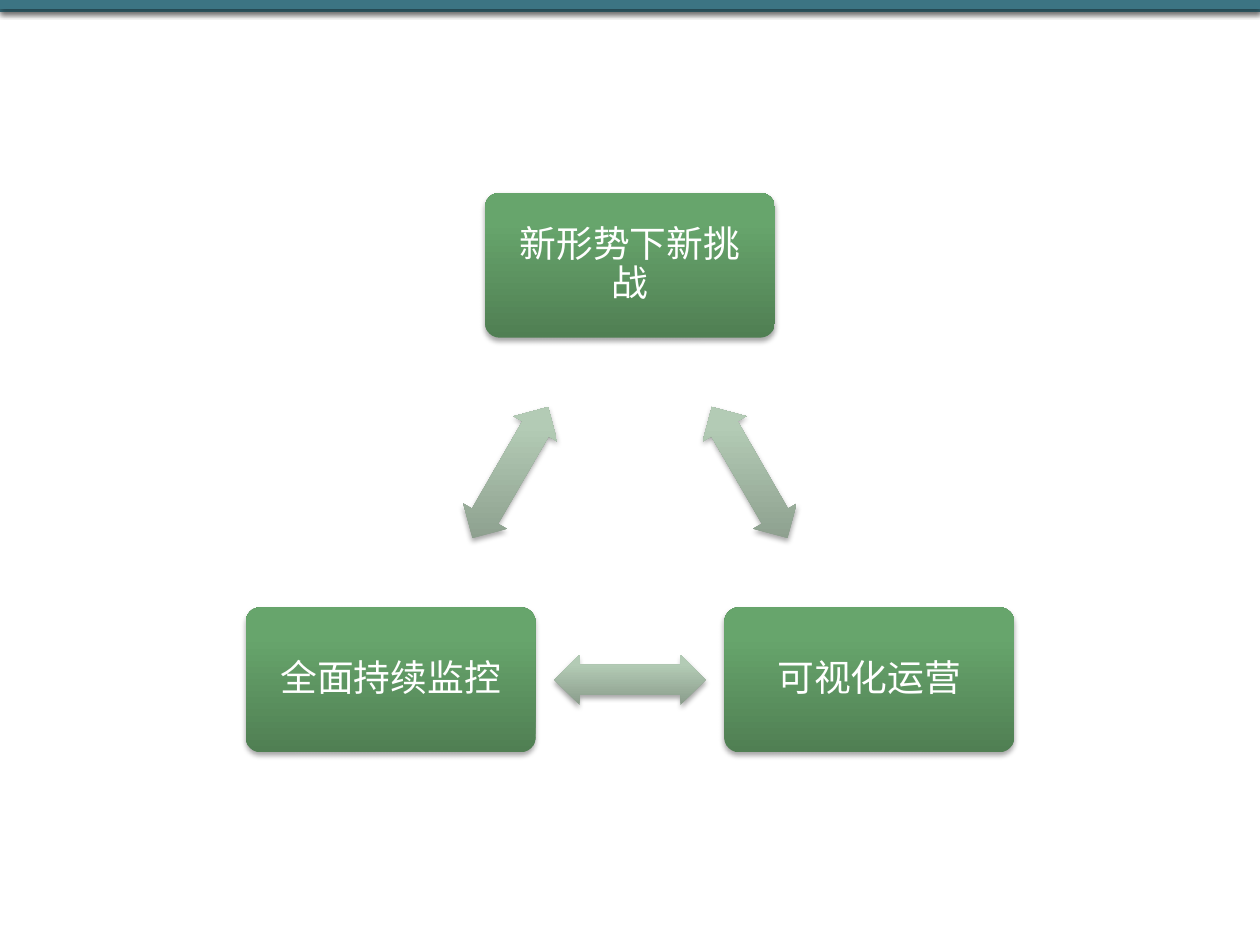
import math
from lxml import etree
from pptx import Presentation
from pptx.dml.color import RGBColor
from pptx.enum.shapes import MSO_CONNECTOR, MSO_SHAPE
from pptx.enum.text import MSO_ANCHOR, PP_ALIGN
from pptx.oxml import parse_xml
from pptx.oxml.ns import nsdecls, qn
from pptx.util import Inches, Pt

STRAIGHT = MSO_CONNECTOR.STRAIGHT
ROUNDED = MSO_SHAPE.ROUNDED_RECTANGLE
DOUBLE_ARROW = MSO_SHAPE.LEFT_RIGHT_ARROW
MIDDLE = MSO_ANCHOR.MIDDLE
CENTER = PP_ALIGN.CENTER

TOPICS = ["新形势下新挑战", "可视化运营", "全面持续监控"]
CARD_STOPS = [(0, "507F53"), (80, "67A56C"), (100, "67A76C")]
ARROW_STOPS = [(0, "8A9C8B"), (80, "B3CBB5"), (100, "B4CCB5")]
CARD_W, CARD_H = 2.3, 1.15
ARROW_W, ARROW_H = 1.2, 0.4


def color(hex_text):
    return RGBColor.from_string(hex_text)


def add_shadow(sp_pr, distance, opacity):
    effects = sp_pr.find(qn("a:effectLst"))
    if effects is None:
        effects = etree.SubElement(sp_pr, qn("a:effectLst"))
    effects.append(parse_xml(
        f'<a:outerShdw {nsdecls("a")} blurRad="{Pt(3.1)}" dist="{Pt(distance)}" '
        f'dir="5400000" rotWithShape="0"><a:srgbClr val="000000">'
        f'<a:alpha val="{opacity * 1000}"/></a:srgbClr></a:outerShdw>'))


def add_gradient_shape(s, kind, cx, cy, width, height, stops):
    sp = s.shapes.add_shape(kind, Inches(cx - width / 2), Inches(cy - height / 2),
                            Inches(width), Inches(height))
    sp.line.fill.background()
    sp.shadow.inherit = False
    stop_xml = "".join(f'<a:gs pos="{pos * 1000}"><a:srgbClr val="{value}"/></a:gs>'
                       for pos, value in stops)
    gradient = parse_xml(
        f'<a:gradFill {nsdecls("a")} rotWithShape="0"><a:gsLst>{stop_xml}</a:gsLst>'
        f'<a:lin ang="16200000" scaled="0"/></a:gradFill>')
    sp_pr = sp._element.spPr
    sp_pr.find(qn("a:prstGeom")).addnext(gradient)
    add_shadow(sp_pr, 1.8, 35)
    return sp


def add_top_bar(s, left, width):
    for y in (0.05, 0.03):
        line = s.shapes.add_connector(STRAIGHT, Inches(left), Inches(y),
                                      Inches(left + width), Inches(y))
        line.line.color.rgb = color("3C7483")
        line.line.width = Pt(6)
        add_shadow(line._element.spPr, 1.6, 38)


def add_card(s, cx, cy, text):
    card = add_gradient_shape(s, ROUNDED, cx, cy, CARD_W, CARD_H, CARD_STOPS)
    card.adjustments[0] = 0.1
    tf = card.text_frame
    tf.word_wrap = True
    tf.vertical_anchor = MIDDLE
    tf.margin_left = tf.margin_right = Inches(0.1)
    tf.margin_top = tf.margin_bottom = Inches(0.12)
    tf.text = text
    p = tf.paragraphs[0]
    p.alignment = CENTER
    p.line_spacing = 0.9
    p.space_after = Pt(7)
    font = p.runs[0].font
    font.name = "Cabin"
    font.size = Pt(21)
    font.color.rgb = color("FFFFFF")


def add_arrow(s, cx, cy, rotation):
    arrow = add_gradient_shape(s, DOUBLE_ARROW, cx, cy, ARROW_W, ARROW_H, ARROW_STOPS)
    arrow.adjustments[0] = 0.6
    arrow.adjustments[1] = 0.5
    arrow.rotation = rotation


def add_cycle(s, left, top, width, height, topics):
    step = 360 / len(topics)
    radius = (height - CARD_H) / 1.5
    cx, cy = left + width / 2, top + CARD_H / 2 + radius
    centers = [(cx + radius * math.sin(math.radians(i * step)),
                cy - radius * math.cos(math.radians(i * step)))
               for i in range(len(topics))]
    for i, (topic, (x, y)) in enumerate(zip(topics, centers)):
        next_x, next_y = centers[(i + 1) % len(centers)]
        add_card(s, x, y, topic)
        add_arrow(s, (x + next_x) / 2, (y + next_y) / 2, (i + 0.5) * step)


def main():
    prs = Presentation()
    prs.slide_width = Inches(10)
    prs.slide_height = Inches(7.5)
    s = prs.slides.add_slide(prs.slide_layouts[6])
    add_top_bar(s, 0, 10)
    add_cycle(s, 1.95, 1.53, 6.1, 4.44, TOPICS)
    prs.save("out.pptx")


if __name__ == "__main__":
    main()
